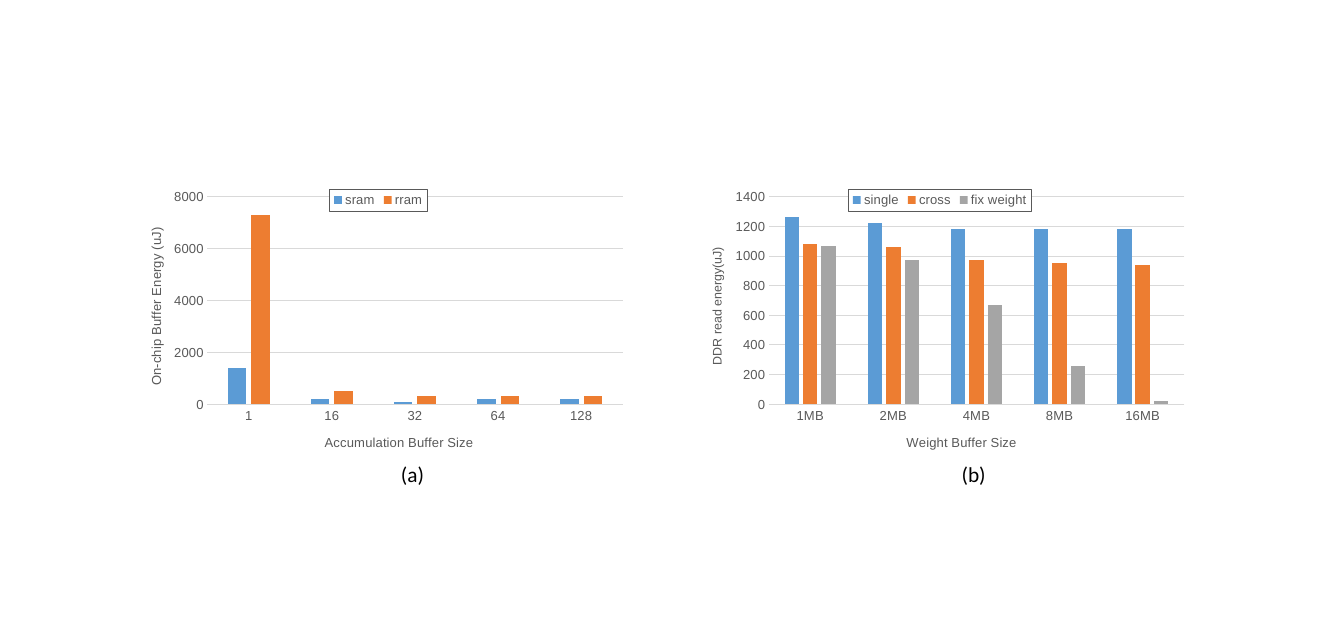
from lxml.etree import SubElement, fromstring
from pptx import Presentation
from pptx.chart.data import CategoryChartData
from pptx.dml.color import RGBColor
from pptx.enum.chart import XL_CHART_TYPE as ChartType
from pptx.enum.chart import XL_LEGEND_POSITION as LegendPosition
from pptx.enum.chart import XL_TICK_MARK as TickMark
from pptx.enum.text import MSO_AUTO_SIZE as AutoSize
from pptx.oxml.ns import nsdecls, qn
from pptx.util import Inches, Pt

BLACK = RGBColor(0x00, 0x00, 0x00)
GRAY = RGBColor(0x59, 0x59, 0x59)
GRID = RGBColor(0xD9, 0xD9, 0xD9)
SERIES_COLORS = (
    RGBColor(0x5B, 0x9B, 0xD5),
    RGBColor(0xED, 0x7D, 0x31),
    RGBColor(0xA5, 0xA5, 0xA5),
)
PLOT_FRAME = (0.163, 0.05, 0.82, 0.735)
LEGEND_BORDER = (
    f'<c:spPr {nsdecls("c", "a")}><a:solidFill><a:srgbClr val="FFFFFF"/></a:solidFill>'
    '<a:ln w="9525"><a:solidFill><a:srgbClr val="595959"/></a:solidFill></a:ln></c:spPr>'
)


class FigurePage:
    """Draws styled charts and captions on one page."""

    def __init__(self, page):
        self.page = page

    def style_font(self, font, size=11, color=GRAY, name="Arial"):
        font.size, font.name, font.bold = Pt(size), name, False
        font.color.rgb = color

    def place(self, element, index, frame, inner=False):
        for stale in element.findall(qn("c:layout")):
            element.remove(stale)
        layout = fromstring(f'<c:layout {nsdecls("c")}><c:manualLayout/></c:layout>')
        manual = layout[0]
        if inner:
            SubElement(manual, qn("c:layoutTarget")).set("val", "inner")
        for key in ("xMode", "yMode"):
            SubElement(manual, qn(f"c:{key}")).set("val", "edge")
        for key, value in zip("xywh", frame):
            SubElement(manual, qn(f"c:{key}")).set("val", str(value))
        element.insert(index, layout)

    def axis(self, axis, title, corner, title_size=11):
        axis.major_tick_mark = axis.minor_tick_mark = TickMark.NONE
        self.style_font(axis.tick_labels.font)
        frame = axis.axis_title.text_frame
        frame.text = title
        self.style_font(frame.paragraphs[0].runs[0].font, title_size)
        self.place(axis.axis_title._element, 1, corner)

    def line(self, line):
        line.color.rgb = GRID
        line.width = Pt(0.75)

    def legend(self, chart, frame):
        chart.has_legend = True
        legend = chart.legend
        legend.position = LegendPosition.TOP
        legend.include_in_layout = False
        self.style_font(legend.font)
        element = legend._element
        self.place(element, 1, frame)
        overlay = element.find(qn("c:overlay"))
        overlay.set("val", "1")
        overlay.addnext(fromstring(LEGEND_BORDER))

    def column_chart(self, left, sizes, series, size_title, energy_title,
                     maximum, step, legend_frame, energy_size=11):
        data = CategoryChartData()
        data.categories = sizes
        for name, values in series.items():
            data.add_series(name, values)
        chart = self.page.shapes.add_chart(
            ChartType.COLUMN_CLUSTERED, Inches(left), Inches(2.14),
            Inches(5.94), Inches(3.31), data).chart
        chart.has_title = False
        self.style_font(chart.font, 10, BLACK, "Calibri")
        plot = chart.plots[0]
        plot.gap_width, plot.overlap, plot.vary_by_categories = 219, -27, False
        for bars, color in zip(plot.series, SERIES_COLORS):
            bars.format.fill.solid()
            bars.format.fill.fore_color.rgb = color
        size_axis, energy_axis = chart.category_axis, chart.value_axis
        self.axis(size_axis, *size_title)
        self.line(size_axis.format.line)
        self.axis(energy_axis, *energy_title, energy_size)
        energy_axis.minimum_scale, energy_axis.maximum_scale = 0, maximum
        energy_axis.major_unit = step
        energy_axis.format.line.fill.background()
        self.line(energy_axis.major_gridlines.format.line)
        self.place(chart._chartSpace.find(".//" + qn("c:plotArea")), 0, PLOT_FRAME, True)
        self.legend(chart, legend_frame)

    def caption(self, left, text):
        box = self.page.shapes.add_textbox(
            Inches(left), Inches(5.35), Inches(0.48), Inches(0.4))
        frame = box.text_frame
        frame.word_wrap = False
        frame.auto_size = AutoSize.SHAPE_TO_FIT_TEXT
        frame.text = text
        self.style_font(frame.paragraphs[0].runs[0].font, 18, BLACK, "Calibri")


deck = Presentation()
deck.slide_width, deck.slide_height = Inches(15.75), Inches(7.5)
figure = FigurePage(deck.slides.add_slide(deck.slide_layouts[6]))

figure.column_chart(
    1.46, ("1", "16", "32", "64", "128"),
    {"sram": (1400, 200, 100, 200, 200), "rram": (7300, 500, 300, 300, 300)},
    ("Accumulation Buffer Size", (0.39, 0.88)),
    ("On-chip Buffer Energy (uJ)", (0.04, 0.15)),
    8000, 2000, (0.404, 0.023, 0.193, 0.078))
figure.column_chart(
    8.04, ("1MB", "2MB", "4MB", "8MB", "16MB"),
    {"single": (1260, 1220, 1180, 1180, 1180),
     "cross": (1080, 1060, 970, 950, 940),
     "fix weight": (1070, 970, 670, 260, 20)},
    ("Weight Buffer Size", (0.43, 0.88)),
    ("DDR read energy(uJ)", (0.04, 0.22)),
    1400, 200, (0.32, 0.023, 0.361, 0.078), energy_size=10.5)
for left, text in ((4.6, "(a)"), (11.17, "(b)")):
    figure.caption(left, text)

deck.save("out.pptx")
